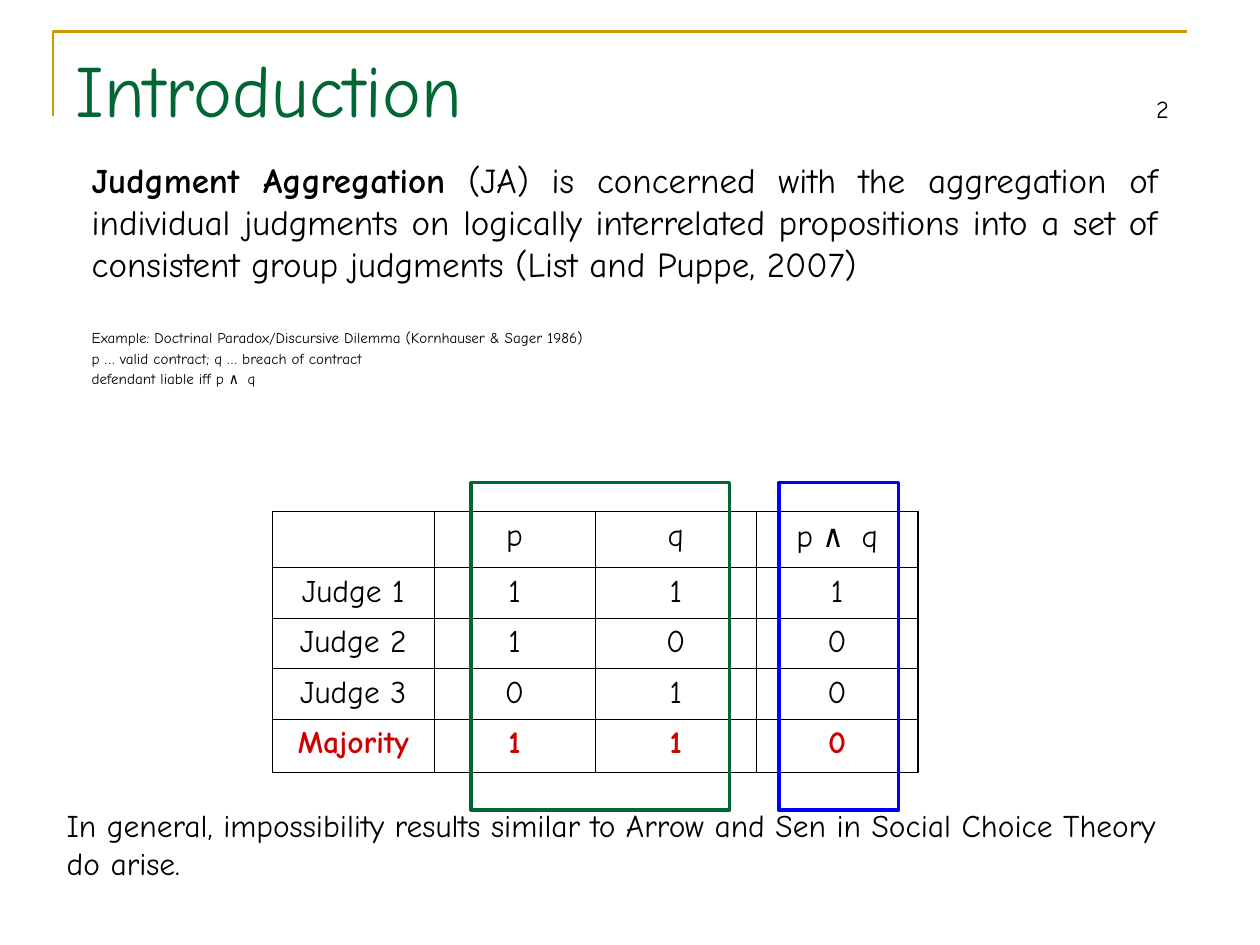
from typing import NamedTuple

from lxml import etree
from pptx import Presentation
from pptx.dml.color import RGBColor
from pptx.enum import shapes, text
from pptx.oxml import ns
from pptx.util import Pt

FONT, SYMBOL_FONT = "Comic Neue", "DejaVu Sans Mono"
BLACK, GREEN, BLUE, RED, GOLD = "000000", "006633", "0000FF", "CC0000", "CC9900"
THIN, THICK = 0.45, 1.08
LEFT, CENTER, RIGHT, JUSTIFY = (
    text.PP_ALIGN.LEFT, text.PP_ALIGN.CENTER, text.PP_ALIGN.RIGHT, text.PP_ALIGN.JUSTIFY)


class Run(NamedTuple):
    text: str
    bold: bool = False
    font: str = FONT


class TextBlock(NamedTuple):
    left: float
    top: float
    width: float
    height: float
    size: float
    paragraphs: list[list[Run]]
    color: str = BLACK
    align: text.PP_ALIGN = LEFT
    line_spacing: float = 1.0
    gap: float = 0


class Frame(NamedTuple):
    left: float
    width: float
    color: str


CONJUNCTION = [Run("p "), Run("∧ ", font=SYMBOL_FONT), Run("q")]

TEXT_BLOCKS = [
    TextBlock(36, 21.6, 500, 60, 42, [[Run("Introduction")]], GREEN),
    TextBlock(625, 50, 50, 25, 14, [[Run("2")]], align=RIGHT),
    TextBlock(45.36, 86.8, 623.5, 85, 20, [[
        Run("Judgment Aggregation", bold=True),
        Run(" (JA) is concerned with the aggregation of individual judgments on logically "
            "interrelated propositions into a set of consistent group judgments "
            "(List and Puppe, 2007)")]], align=JUSTIFY),
    TextBlock(45.36, 187, 584, 40, 8.6, [
        [Run("Example: Doctrinal Paradox/Discursive Dilemma (Kornhauser & Sager 1986)")],
        [Run("p … valid contract; q … breach of contract")],
        [Run("defendant liable iff "), *CONJUNCTION],
    ], align=JUSTIFY, line_spacing=0.7, gap=4.5),
    TextBlock(31, 457.2, 641, 50.4, 18, [[
        Run("In general, impossibility results similar to Arrow and Sen in Social Choice "
            "Theory do arise.")]]),
]

VOTES = [
    ("Judge 1", "1", "1", "1"),
    ("Judge 2", "1", "0", "0"),
    ("Judge 3", "0", "1", "0"),
    ("Majority", "1", "1", "0"),
]
TABLE_LEFT, TABLE_TOP, COLUMN_WIDTH = 155.8, 292.3, 92.16
ROW_HEIGHTS = [32.2, 28.1, 28.1, 28.1, 30.5]

FRAME_TOP, FRAME_HEIGHT = 275.8, 187.2
FRAMES = [Frame(445, 68.4, BLUE), Frame(269.3, 147.6, GREEN)]


def rgb(color: str) -> RGBColor:
    return RGBColor.from_string(color)


def add_runs(paragraph, runs: list[Run], size: float, color: str, align) -> None:
    paragraph.alignment = align
    for item in runs:
        run = paragraph.add_run()
        run.text = item.text
        run.font.name = item.font
        run.font.size = Pt(size)
        run.font.bold = item.bold
        run.font.color.rgb = rgb(color)


def add_text_block(slide, block: TextBlock) -> None:
    box = slide.shapes.add_textbox(
        Pt(block.left), Pt(block.top), Pt(block.width), Pt(block.height))
    frame = box.text_frame
    frame.word_wrap = True
    for index, runs in enumerate(block.paragraphs):
        paragraph = frame.add_paragraph() if index else frame.paragraphs[0]
        paragraph.line_spacing = block.line_spacing
        paragraph.space_before = Pt(block.gap if index else 0)
        add_runs(paragraph, runs, block.size, block.color, block.align)


def set_outline(shape, color: str, width: float) -> None:
    shape.shadow.inherit = False
    shape.fill.background()
    shape.line.color.rgb = rgb(color)
    shape.line.width = Pt(width)


def add_title_bracket(slide) -> None:
    builder = slide.shapes.build_freeform(Pt(30.24), Pt(66.24))
    builder.add_line_segments([(Pt(30.24), Pt(18)), (Pt(678.24), Pt(18))], close=False)
    set_outline(builder.convert_to_shape(), GOLD, 1.5)


def add_frame(slide, frame: Frame) -> None:
    shape = slide.shapes.add_shape(
        shapes.MSO_SHAPE.RECTANGLE,
        Pt(frame.left), Pt(FRAME_TOP), Pt(frame.width), Pt(FRAME_HEIGHT))
    set_outline(shape, frame.color, 2)


def set_borders(cell, widths: dict[str, float]) -> None:
    properties = cell._tc.get_or_add_tcPr()
    for side, width in widths.items():
        line = etree.SubElement(properties, ns.qn(f"a:ln{side}"), w=str(int(Pt(width))))
        fill = etree.SubElement(line, ns.qn("a:solidFill"))
        etree.SubElement(fill, ns.qn("a:srgbClr"), val=BLACK)


def add_vote_table(slide) -> None:
    rows = [[[], [Run("p")], [Run("q")], CONJUNCTION]]
    rows += [[[Run(value, bold=vote[0] == "Majority")] for value in vote] for vote in VOTES]
    last_row, last_column = len(rows) - 1, len(rows[0]) - 1
    table = slide.shapes.add_table(
        len(rows), len(rows[0]), Pt(TABLE_LEFT), Pt(TABLE_TOP),
        Pt(COLUMN_WIDTH * len(rows[0])), Pt(sum(ROW_HEIGHTS))).table
    table.first_row = table.horz_banding = False
    for column in table.columns:
        column.width = Pt(COLUMN_WIDTH)
    for row_index, row in enumerate(rows):
        table.rows[row_index].height = Pt(ROW_HEIGHTS[row_index])
        color = RED if row_index == last_row else BLACK
        for column_index, runs in enumerate(row):
            cell = table.cell(row_index, column_index)
            set_borders(cell, {
                "L": THICK if column_index == 0 else THIN,
                "R": THICK if column_index == last_column else THIN,
                "T": THICK if row_index == 0 else THIN,
                "B": THICK if row_index == last_row else THIN,
            })
            cell.fill.background()
            add_runs(cell.text_frame.paragraphs[0], runs, 18, color, CENTER)


def main() -> None:
    presentation = Presentation()
    presentation.slide_width, presentation.slide_height = Pt(720), Pt(540)
    slide = presentation.slides.add_slide(presentation.slide_layouts[6])
    add_title_bracket(slide)
    for block in TEXT_BLOCKS:
        add_text_block(slide, block)
    add_vote_table(slide)
    for frame in FRAMES:
        add_frame(slide, frame)
    presentation.save("out.pptx")


if __name__ == "__main__":
    main()
